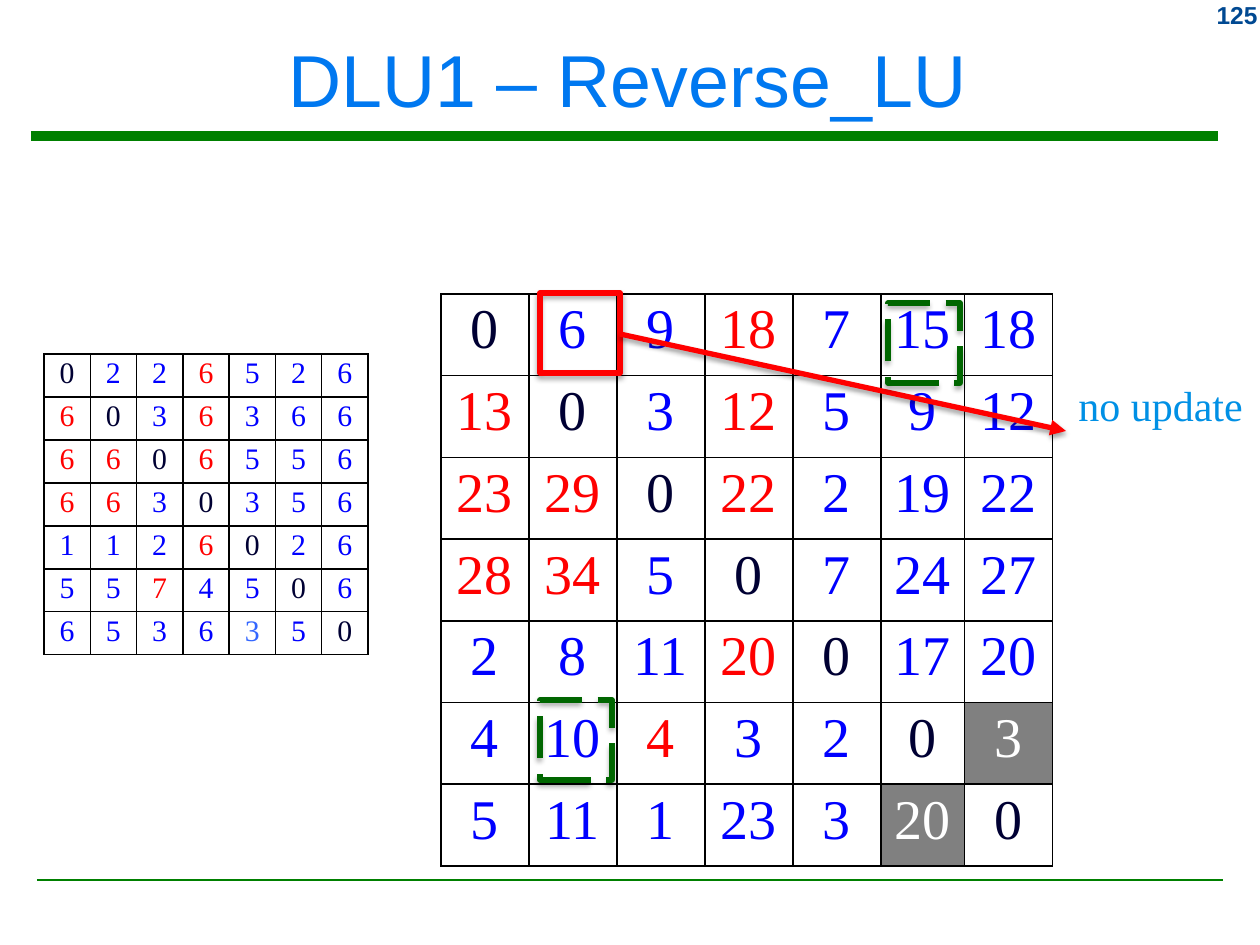
from lxml.etree import SubElement
from pptx import Presentation
from pptx.dml.color import RGBColor
from pptx.enum.dml import MSO_LINE
from pptx.enum.shapes import MSO_CONNECTOR, MSO_SHAPE
from pptx.enum.text import MSO_ANCHOR, PP_ALIGN
from pptx.oxml.ns import qn
from pptx.util import Emu, Pt

BLACK = RGBColor(0, 0, 0)
WHITE = RGBColor(255, 255, 255)
RED = RGBColor(255, 0, 0)
BLUE = RGBColor(0, 0, 255)
LIGHT_BLUE = RGBColor(0x33, 0x66, 0xFF)
NAVY = RGBColor(0, 0, 0x33)
GRAY = RGBColor(0x80, 0x80, 0x80)
RULE_GREEN = RGBColor(0, 0x80, 0)
DASH_GREEN = RGBColor(0, 0x66, 0)
TITLE_BLUE = RGBColor(0, 0x78, 0xF0)
NOTE_BLUE = RGBColor(0, 0x90, 0xE5)
PAGE_BLUE = RGBColor(0, 0x49, 0x92)

INKS = {"k": NAVY, "b": BLUE, "r": RED, "l": LIGHT_BLUE, "w": WHITE}

DISTANCES = [
    ("0 6 9 18 7 15 18", "kbbrbbb"),
    ("13 0 3 12 5 9 12", "rkbrbbb"),
    ("23 29 0 22 2 19 22", "rrkrbbb"),
    ("28 34 5 0 7 24 27", "rrbkbbb"),
    ("2 8 11 20 0 17 20", "bbbrkbb"),
    ("4 10 4 3 2 0 3", "bbrbbkw"),
    ("5 11 1 23 3 20 0", "bbbbbwk"),
]
PREDECESSORS = [
    ("0 2 2 6 5 2 6", "kbbrbbb"),
    ("6 0 3 6 3 6 6", "rkbrbbb"),
    ("6 6 0 6 5 5 6", "rrkrbbb"),
    ("6 6 3 0 3 5 6", "rrbkbbb"),
    ("1 1 2 6 0 2 6", "bbbrkbb"),
    ("5 5 7 4 5 0 6", "bbrbbkb"),
    ("6 5 3 6 3 5 0", "bbbblbk"),
]
RULES = [(31, 136, 1218, 5.25), (37, 880, 1223, 1)]
UPDATE_BOX = (540, 293, 80, 80)
DASHED_BOXES = [(540, 700, 72, 80), (888, 303, 72, 80)]
ARROW = (620, 334, 1066, 431)


def px(v):
    return Emu(round(v * 914400 / 126))


def add_text(s, box, text, size, font, color, align, bold=False, wrap=True):
    tf = s.shapes.add_textbox(*map(px, box)).text_frame
    tf.word_wrap = wrap
    tf.text = text
    p = tf.paragraphs[0]
    p.alignment = align
    style(p.runs[0], size, font, color, bold)
    return tf


def style(r, size, font, color, bold=False):
    r.font.size = Pt(size)
    r.font.name = font
    r.font.color.rgb = color
    r.font.bold = bold


def add_line(s, ends, color, width):
    sp = s.shapes.add_connector(MSO_CONNECTOR.STRAIGHT, *map(px, ends))
    sp.line.color.rgb = color
    sp.line.width = Pt(width)
    return sp, SubElement(sp._element.spPr, qn("a:effectLst"))


def add_shadow(effects, alpha):
    shadow = SubElement(effects, qn("a:outerShdw"), blurRad=str(Pt(3.1)),
                        dist=str(Pt(1.8)), dir="5400000", rotWithShape="0")
    ink = SubElement(shadow, qn("a:srgbClr"), val=str(BLACK))
    SubElement(ink, qn("a:alpha"), val=str(alpha * 1000))


def add_box(s, box, color, dash=None):
    sp = s.shapes.add_shape(MSO_SHAPE.RECTANGLE, *map(px, box))
    sp.fill.background()
    sp.line.color.rgb = color
    sp.line.width = Pt(3)
    if dash:
        sp.line.dash_style = dash
    sp.shadow.inherit = False
    add_shadow(sp._element.spPr.find(qn("a:effectLst")), 35)


def add_borders(cell):
    tcPr = cell._tc.get_or_add_tcPr()
    for i, side in enumerate("LRTB"):
        ln = SubElement(tcPr, qn(f"a:ln{side}"), w=str(Pt(1)))
        SubElement(SubElement(ln, qn("a:solidFill")), qn("a:srgbClr"), val=str(BLACK))
        tcPr.insert(i, ln)


def add_matrix(s, rows, left, top, widths, height, size, inset):
    n = len(rows)
    frame = s.shapes.add_table(n, len(widths), px(left), px(top), px(sum(widths)), px(height))
    table = frame.table
    table.first_row = table.horz_banding = False
    for column, w in zip(table.columns, widths):
        column.width = px(w)
    for i, (values, inks) in enumerate(rows):
        table.rows[i].height = px(height / n)
        for j, (value, ink) in enumerate(zip(values.split(), inks)):
            cell = table.cell(i, j)
            cell.margin_left = cell.margin_right = px(inset * 2)
            cell.margin_top = cell.margin_bottom = px(inset)
            cell.fill.solid()
            cell.fill.fore_color.rgb = GRAY if ink == "w" else WHITE
            add_borders(cell)
            cell.text = value
            p = cell.text_frame.paragraphs[0]
            p.alignment = PP_ALIGN.CENTER
            style(p.runs[0], size, "Times New Roman", INKS[ink])


def main():
    prs = Presentation()
    prs.slide_width, prs.slide_height = px(1260), px(945)
    s = prs.slides.add_slide(prs.slide_layouts[6])

    for x1, y, x2, width in RULES:
        add_line(s, (x1, y, x2, y), RULE_GREEN, width)
    add_text(s, (1155, -6, 115, 42), "125", 14, "Arial", PAGE_BLUE, PP_ALIGN.RIGHT, bold=True)
    add_matrix(s, DISTANCES, 441, 294, [88] * 5 + [84, 88], 572, 32, 5)
    title = add_text(s, (10, 11, 1235, 134), "DLU1 – Reverse_LU", 42, "Arial",
                     TITLE_BLUE, PP_ALIGN.CENTER)
    title.vertical_anchor = MSO_ANCHOR.MIDDLE

    add_box(s, UPDATE_BOX, RED)
    arrow, effects = add_line(s, ARROW, RED, 3)
    SubElement(arrow.line._get_or_add_ln(), qn("a:tailEnd"), type="triangle")
    add_shadow(effects, 38)
    add_text(s, (1066, 373, 192, 115), "no update", 24, "Times New Roman",
             NOTE_BLUE, PP_ALIGN.LEFT, wrap=False)

    for box in DASHED_BOXES:
        add_box(s, box, DASH_GREEN, MSO_LINE.LONG_DASH)
    add_matrix(s, PREDECESSORS, 44, 354, [324 / 7] * 7, 301, 17, 3)
    prs.save("out.pptx")


if __name__ == "__main__":
    main()
